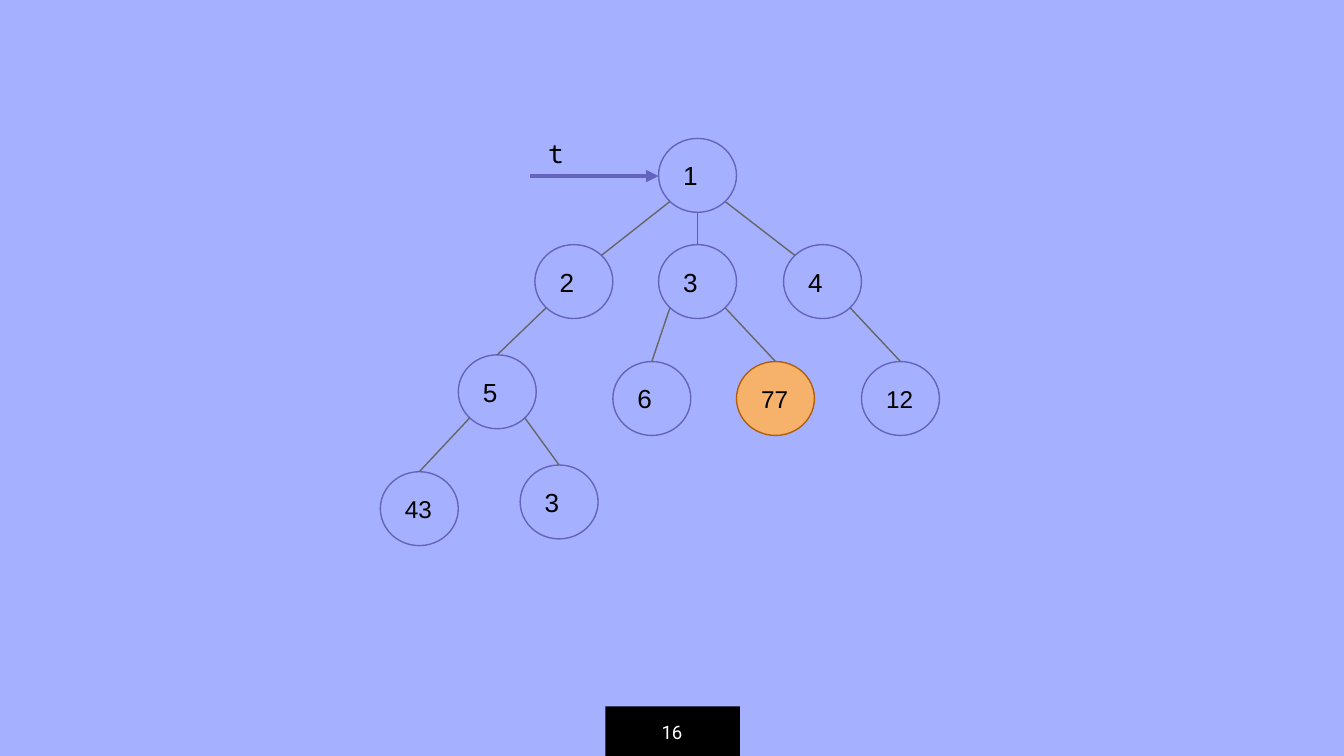
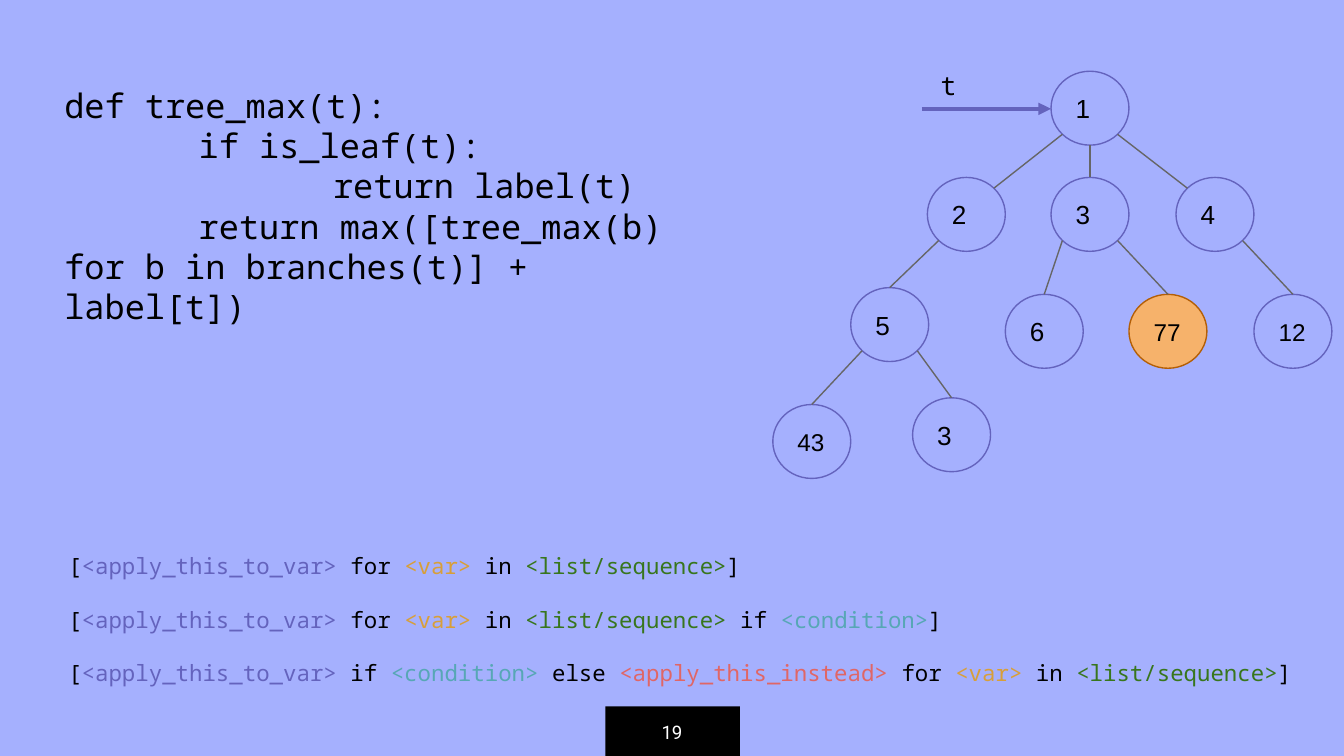
from dataclasses import dataclass
from enum import Enum

from lxml.etree import SubElement
from pptx import Presentation
from pptx.dml.color import RGBColor
from pptx.enum.dml import MSO_LINE_DASH_STYLE as Dash
from pptx.enum.shapes import MSO_CONNECTOR as ConnectorKind, MSO_SHAPE as ShapeKind
from pptx.enum.text import MSO_ANCHOR as Anchor, PP_ALIGN as Align
from pptx.oxml.ns import qn
from pptx.util import Inches, Pt

BACKGROUND = "A5B0FE"
ACCENT = "6463BD"
EDGE = "666666"
BLACK = "000000"
WHITE = "FFFFFF"
HIGHLIGHT = "F6B26B"
HIGHLIGHT_LINE = "B45F06"

SANS = "Arial"
MONO = "Noto Sans Mono"
FOOTER_FONT = "Roboto"

INSET = 0.1
NODE_WIDTH = 0.58
NODE_HEIGHT = 0.55
DIAGONAL = 0.5 ** 0.5 / 2


class Site(Enum):
    TOP = (0.5, 0)
    TOP_LEFT = (0.5 - DIAGONAL, 0.5 - DIAGONAL)
    TOP_RIGHT = (0.5 + DIAGONAL, 0.5 - DIAGONAL)
    BOTTOM = (0.5, 1)
    BOTTOM_LEFT = (0.5 - DIAGONAL, 0.5 + DIAGONAL)
    BOTTOM_RIGHT = (0.5 + DIAGONAL, 0.5 + DIAGONAL)


@dataclass(frozen=True)
class Node:
    label: str
    dx: float
    dy: float
    fill: str = BACKGROUND
    line: str = ACCENT

    def point(self, left: float, top: float, site: Site) -> tuple[float, float]:
        across, down = site.value
        return (left + self.dx + NODE_WIDTH * across,
                top + self.dy + NODE_HEIGHT * down)


@dataclass(frozen=True)
class Edge:
    parent: str
    start: Site
    child: str
    end: Site = Site.TOP


NODES = {
    "root": Node("1", 0, 0),
    "two": Node("2", -0.92, 0.79),
    "three": Node("3", 0, 0.79),
    "four": Node("4", 0.93, 0.79),
    "five": Node("5", -1.49, 1.61),
    "six": Node("6", -0.34, 1.66),
    "maximum": Node("77", 0.58, 1.66, HIGHLIGHT, HIGHLIGHT_LINE),
    "twelve": Node("12", 1.51, 1.66),
    "forty_three": Node("43", -2.07, 2.48),
    "leaf_three": Node("3", -1.03, 2.43),
}

EDGES = (
    Edge("root", Site.BOTTOM_LEFT, "two", Site.TOP_RIGHT),
    Edge("root", Site.BOTTOM, "three"),
    Edge("root", Site.BOTTOM_RIGHT, "four", Site.TOP_LEFT),
    Edge("two", Site.BOTTOM_LEFT, "five"),
    Edge("five", Site.BOTTOM_LEFT, "forty_three"),
    Edge("five", Site.BOTTOM_RIGHT, "leaf_three"),
    Edge("three", Site.BOTTOM_LEFT, "six"),
    Edge("three", Site.BOTTOM_RIGHT, "maximum"),
    Edge("four", Site.BOTTOM_RIGHT, "twelve"),
)

CODE = (
    "def tree_max(t):",
    "\tif is_leaf(t):",
    "\t\treturn label(t)",
    "\treturn max([tree_max(b) for b in branches(t)] + label[t])",
)

APPLY = "<apply_this_to_var>"
INSTEAD = "<apply_this_instead>"
VARIABLE = "<var>"
SEQUENCE = "<list/sequence>"
CONDITION = "<condition>"

TOKEN_COLORS = {
    APPLY: ACCENT,
    INSTEAD: "E06666",
    VARIABLE: "D89F39",
    SEQUENCE: "38761D",
    CONDITION: "57A7B5",
}

COMPREHENSIONS = (
    ("[", APPLY, " for ", VARIABLE, " in ", SEQUENCE, "]"),
    ("[", APPLY, " for ", VARIABLE, " in ", SEQUENCE, " if ", CONDITION, "]"),
    ("[", APPLY, " if ", CONDITION, " else ", INSTEAD,
     " for ", VARIABLE, " in ", SEQUENCE, "]"),
)


def color(value: str) -> RGBColor:
    return RGBColor.from_string(value)


def format_run(run, size: float, font: str, tint: str = BLACK) -> None:
    run.font.size = Pt(size)
    run.font.name = font
    run.font.color.rgb = color(tint)


def prepare_frame(text_frame, anchor=Anchor.TOP) -> None:
    text_frame.word_wrap = True
    text_frame.vertical_anchor = anchor
    text_frame.margin_left = text_frame.margin_right = Inches(INSET)
    text_frame.margin_top = text_frame.margin_bottom = Inches(INSET)


def write(text_frame, text: str, size: float, font: str, tint: str = BLACK,
          align=Align.LEFT) -> None:
    text_frame.text = text
    for paragraph in text_frame.paragraphs:
        paragraph.alignment = align
        for run in paragraph.runs:
            format_run(run, size, font, tint)


def set_tabs(text_frame, *stops: float) -> None:
    for paragraph in text_frame.paragraphs:
        properties = paragraph._p.get_or_add_pPr()
        tabs = SubElement(properties, qn("a:tabLst"))
        for stop in stops:
            SubElement(tabs, qn("a:tab"), pos=str(Inches(stop)), algn="l")


def add_box(slide, kind, left: float, top: float, width: float, height: float,
            fill: str | None = None, line: str | None = None,
            weight: float = 0.75, anchor=Anchor.MIDDLE):
    shape = slide.shapes.add_shape(
        kind, Inches(left), Inches(top), Inches(width), Inches(height))
    shape.shadow.inherit = False
    if fill:
        shape.fill.solid()
        shape.fill.fore_color.rgb = color(fill)
    else:
        shape.fill.background()
    if line:
        shape.line.color.rgb = color(line)
        shape.line.width = Pt(weight)
    else:
        shape.line.fill.background()
    prepare_frame(shape.text_frame, anchor)
    return shape


def add_text(slide, left: float, top: float, width: float, height: float,
             text: str, size: float, font: str = MONO, tint: str = BLACK,
             align=Align.LEFT, anchor=Anchor.TOP):
    box = slide.shapes.add_textbox(
        Inches(left), Inches(top), Inches(width), Inches(height))
    prepare_frame(box.text_frame, anchor)
    write(box.text_frame, text, size, font, tint, align)
    return box


def add_line(slide, start: tuple[float, float], end: tuple[float, float],
             tint: str, weight: float, arrow: bool = False) -> None:
    connector = slide.shapes.add_connector(
        ConnectorKind.STRAIGHT, *(Inches(value) for value in (*start, *end)))
    connector.line.color.rgb = color(tint)
    connector.line.width = Pt(weight)
    properties = connector.element.spPr
    if arrow:
        SubElement(properties.find(qn("a:ln")), qn("a:tailEnd"), type="triangle")
    SubElement(properties, qn("a:effectLst"))


def add_tree(slide, left: float, top: float) -> None:
    for node in NODES.values():
        circle = add_box(slide, ShapeKind.OVAL, left + node.dx, top + node.dy,
                         NODE_WIDTH, NODE_HEIGHT, node.fill, node.line)
        size = 14 if len(node.label) == 1 else 13
        write(circle.text_frame, node.label, size, SANS)
    for edge in EDGES:
        add_line(slide, NODES[edge.parent].point(left, top, edge.start),
                 NODES[edge.child].point(left, top, edge.end), EDGE, 0.75)
    pointer_y = top + 0.28
    add_line(slide, (left - 0.96, pointer_y), (left, pointer_y), ACCENT, 2.25, True)
    add_text(slide, left - 0.92, top - 0.11, 0.38, 0.4, "t", 14)


def add_comprehensions(slide) -> None:
    panel = add_box(slide, ShapeKind.RECTANGLE, 0.41, 4.01, 9.44, 1.18,
                    line=BACKGROUND, weight=1.5, anchor=Anchor.TOP)
    panel.line.dash_style = Dash.DASH
    text_frame = panel.text_frame
    for index, tokens in enumerate(COMPREHENSIONS):
        paragraph = text_frame.add_paragraph() if index else text_frame.paragraphs[0]
        paragraph.alignment = Align.LEFT
        paragraph.space_before = Pt(14.2 if index else 0)
        for token in tokens:
            run = paragraph.add_run()
            run.text = token
            format_run(run, 12, MONO, TOKEN_COLORS.get(token, BLACK))


def add_slide(presentation, number: int):
    slide = presentation.slides.add_slide(presentation.slide_layouts[6])
    slide.background.fill.solid()
    slide.background.fill.fore_color.rgb = color(BACKGROUND)
    band = add_box(slide, ShapeKind.RECTANGLE, 4.82, 4.94, 0.37, 1, BLACK)
    band.rotation = 270
    add_text(slide, 4.5, 5.26, 1, 0.37, str(number), 10, FOOTER_FONT, WHITE,
             Align.CENTER, Anchor.MIDDLE)
    return slide


def build() -> None:
    presentation = Presentation()
    presentation.slide_width = Inches(10)
    presentation.slide_height = presentation.slide_width * 9 // 16

    tree_slide = add_slide(presentation, 16)
    add_tree(tree_slide, 4.9, 1.03)

    code_slide = add_slide(presentation, 19)
    add_comprehensions(code_slide)
    code = add_text(code_slide, 0.38, 0.53, 5.08, 3.11, "\n".join(CODE), 18)
    set_tabs(code.text_frame, 1, 2)
    add_tree(code_slide, 7.82, 0.53)

    presentation.save("out.pptx")


build()
